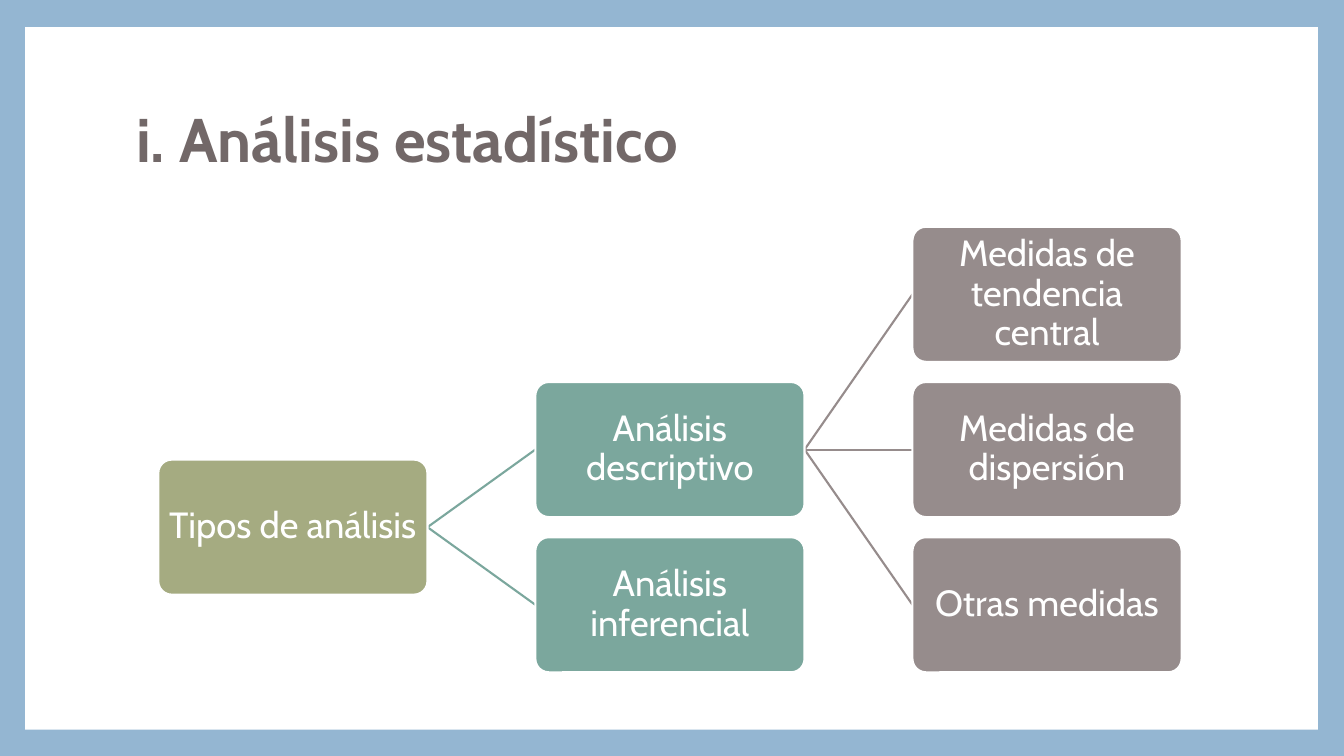
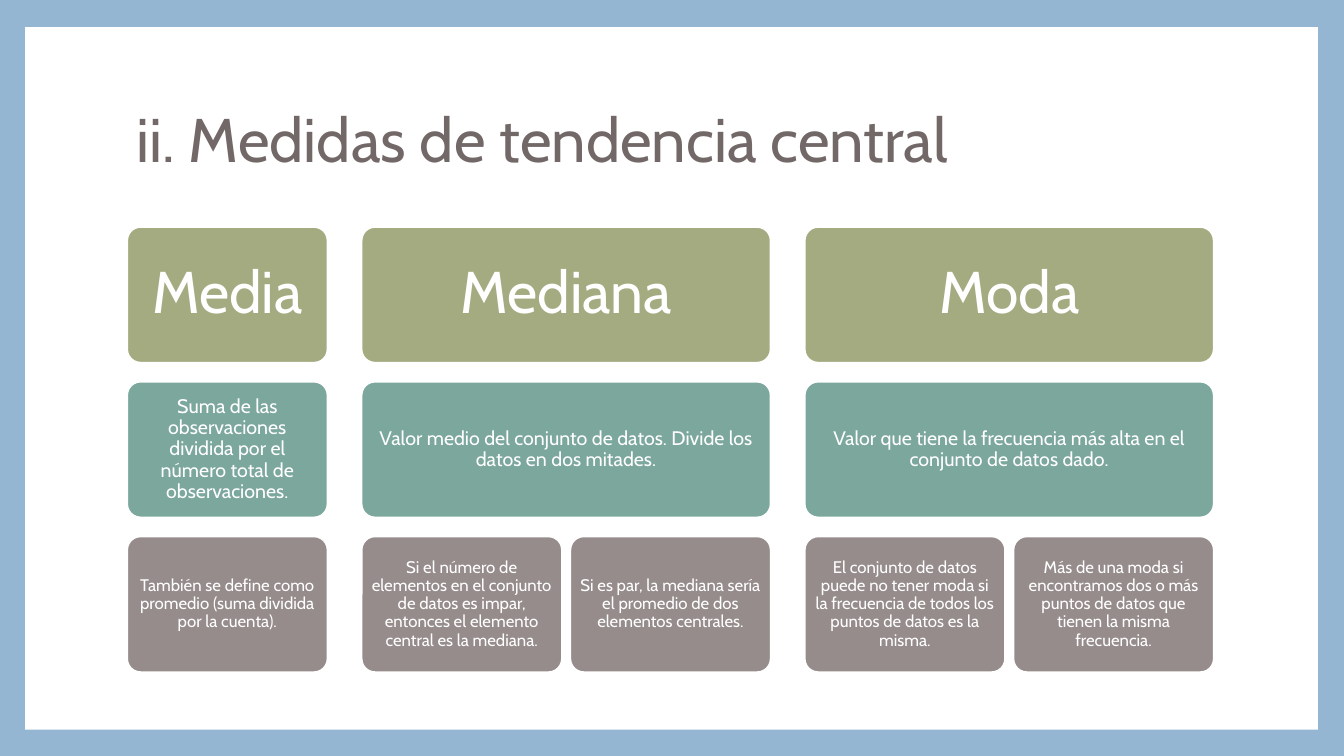
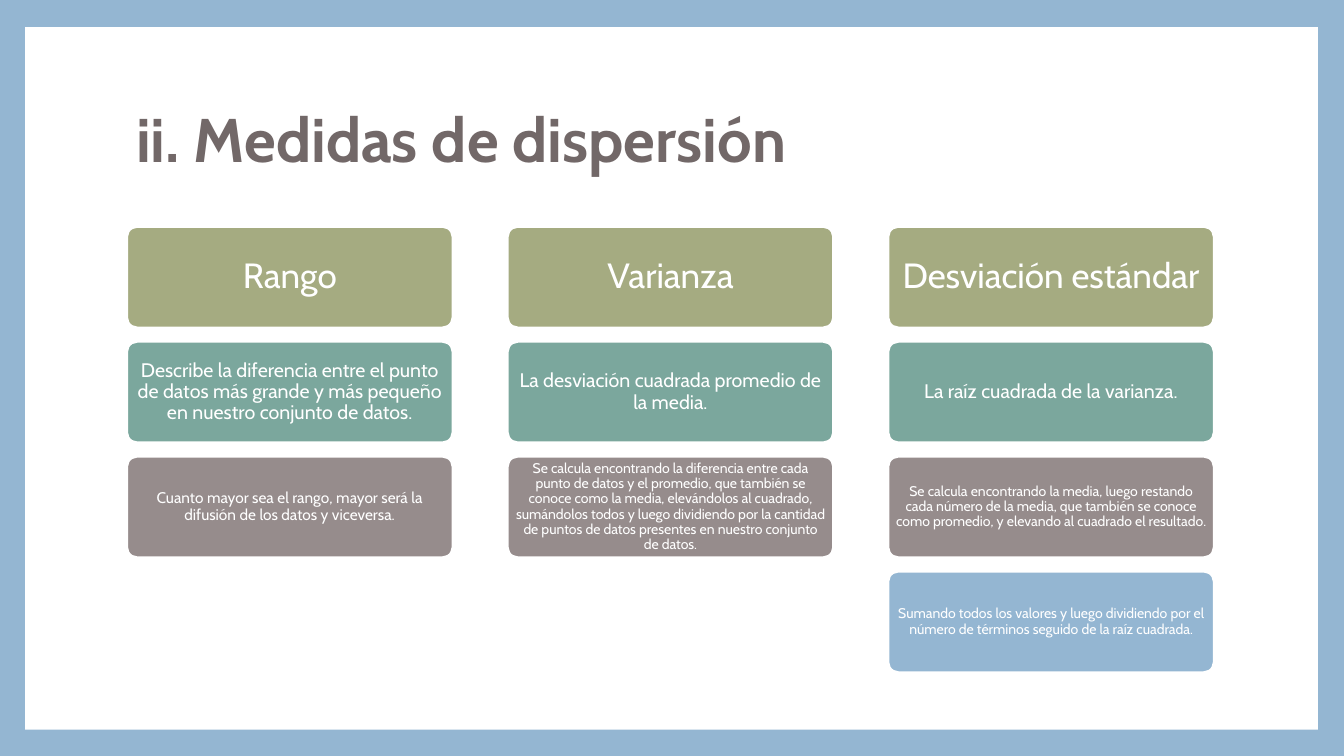
from dataclasses import dataclass, field

from lxml import etree
from pptx import Presentation
from pptx.dml.color import RGBColor
from pptx.enum.shapes import MSO_CONNECTOR, MSO_SHAPE
from pptx.enum.text import MSO_ANCHOR, PP_ALIGN
from pptx.oxml.ns import qn
from pptx.util import Inches, Pt

CENTER, LEFT = PP_ALIGN.CENTER, PP_ALIGN.LEFT
MIDDLE = MSO_ANCHOR.MIDDLE
STRAIGHT = MSO_CONNECTOR.STRAIGHT
RECTANGLE, ROUNDED = MSO_SHAPE.RECTANGLE, MSO_SHAPE.ROUNDED_RECTANGLE

# Text of each slide
TREE_TITLE = "i. Análisis estadístico"
TREE_NODES = {  # label: (level, row)
    "Tipos de análisis": (0, 1.5),
    "Análisis descriptivo": (1, 1),
    "Análisis inferencial": (1, 2),
    "Medidas de tendencia central": (2, 0),
    "Medidas de dispersión": (2, 1),
    "Otras medidas": (2, 2),
}
TREE_LINKS = [
    ("Tipos de análisis", "Análisis descriptivo"),
    ("Tipos de análisis", "Análisis inferencial"),
    ("Análisis descriptivo", "Medidas de tendencia central"),
    ("Análisis descriptivo", "Medidas de dispersión"),
    ("Análisis descriptivo", "Otras medidas"),
]

# Each column lists its rows from the top: type size, then the boxes side by side
CENTRAL_TITLE = "ii. Medidas de tendencia central"
CENTRAL_COLUMNS = [
    [
        ("display", "Media"),
        ("definition", "Suma de las observaciones dividida por el número total de observaciones."),
        ("detail", "También se define como promedio (suma dividida por la cuenta)."),
    ],
    [
        ("display", "Mediana"),
        ("definition", "Valor medio del conjunto de datos. Divide los datos en dos mitades."),
        ("detail",
         "Si el número de elementos en el conjunto de datos es impar, entonces el elemento "
         "central es la mediana.",
         "Si es par, la mediana sería el promedio de dos elementos centrales."),
    ],
    [
        ("display", "Moda"),
        ("definition", "Valor que tiene la frecuencia más alta en el conjunto de datos dado."),
        ("detail",
         "El conjunto de datos puede no tener moda si la frecuencia de todos los puntos de "
         "datos es la misma.",
         "Más de una moda si encontramos dos o más puntos de datos que tienen la misma "
         "frecuencia."),
    ],
]

DISPERSION_TITLE = "ii. Medidas de dispersión"
DISPERSION_COLUMNS = [
    [
        ("heading", "Rango"),
        ("definition",
         "Describe la diferencia entre el punto de datos más grande y más pequeño en nuestro "
         "conjunto de datos."),
        ("note", "Cuanto mayor sea el rango, mayor será la difusión de los datos y viceversa."),
    ],
    [
        ("heading", "Varianza"),
        ("definition", "La desviación cuadrada promedio de la media."),
        ("small",
         "Se calcula encontrando la diferencia entre cada punto de datos y el promedio, que "
         "también se conoce como la media, elevándolos al cuadrado, sumándolos todos y luego "
         "dividiendo por la cantidad de puntos de datos presentes en nuestro conjunto de datos."),
    ],
    [
        ("heading", "Desviación estándar"),
        ("definition", "La raíz cuadrada de la varianza."),
        ("small",
         "Se calcula encontrando la media, luego restando cada número de la media, que también "
         "se conoce como promedio, y elevando al cuadrado el resultado."),
        ("small",
         "Sumando todos los valores y luego dividiendo por el número de términos seguido de la "
         "raíz cuadrada."),
    ],
]


@dataclass(frozen=True)
class Theme:
    font: str = "Cabin"
    frame: RGBColor = RGBColor.from_string("94B6D2")
    white: RGBColor = RGBColor.from_string("FFFFFF")
    title: RGBColor = RGBColor.from_string("726868")
    levels: tuple = tuple(map(RGBColor.from_string, ("A5AB81", "7BA79D", "968C8C", "94B6D2")))
    line_width: float = 1.5
    line_spacing: float = 0.9
    sizes: dict = field(default_factory=lambda: {
        "title": 44, "display": 42, "node": 26, "heading": 25,
        "definition": 14, "detail": 12, "note": 11, "small": 10,
    })


THEME = Theme()
BOARD_LEFT, BOARD_RIGHT = 1.26, 12.04
BOARD_TOP, BOARD_BOTTOM = 2.25, 6.67


def row_pitch(row_count, height):
    """Distance between row tops when the rows fill the board."""
    return (BOARD_BOTTOM - BOARD_TOP - height) / (row_count - 1)


def style_paragraph(paragraph, size, color, alignment, bold=False):
    paragraph.alignment = alignment
    paragraph.line_spacing = THEME.line_spacing
    font = paragraph.font
    font.name, font.size, font.bold = THEME.font, Pt(THEME.sizes[size]), bold
    font.color.rgb = color


def add_box(slide, text, level, size, left, top, width, height, inset=None):
    box = slide.shapes.add_shape(ROUNDED, Inches(left), Inches(top), Inches(width), Inches(height))
    box.adjustments[0] = 0.1
    box.shadow.inherit = False
    box.fill.solid()
    box.fill.fore_color.rgb = THEME.levels[level]
    box.line.color.rgb = THEME.white
    box.line.width = Pt(THEME.line_width)
    frame = box.text_frame
    frame.word_wrap = True
    frame.vertical_anchor = MIDDLE
    margin = Inches(THEME.sizes[size] / 250 if inset is None else inset)
    frame.margin_left = frame.margin_right = frame.margin_top = frame.margin_bottom = margin
    frame.text = text
    style_paragraph(frame.paragraphs[0], size, THEME.white, CENTER)


def add_link(slide, start, end, color):
    link = slide.shapes.add_connector(STRAIGHT, *(Inches(value) for value in (*start, *end)))
    link.line.color.rgb = color
    link.line.width = Pt(THEME.line_width)
    etree.SubElement(link._element.spPr, qn("a:effectLst"))


def add_titled_slide(presentation, layout, title, bold):
    slide = presentation.slides.add_slide(layout)
    slide.shapes.title.text = title
    style_paragraph(slide.shapes.title.text_frame.paragraphs[0], "title", THEME.title, LEFT, bold)
    return slide


def draw_tree(slide):
    left, width, height, gap = 1.57, 2.67, 1.34, 1.07
    pitch = row_pitch(3, height)
    corners = {
        label: (left + level * (width + gap), BOARD_TOP + row * pitch)
        for label, (level, row) in TREE_NODES.items()
    }
    for parent, child in TREE_LINKS:
        (parent_x, parent_y), (child_x, child_y) = corners[parent], corners[child]
        add_link(slide, (parent_x + width, parent_y + height / 2), (child_x, child_y + height / 2),
                 THEME.levels[TREE_NODES[child][0]])
    for label, (level, _) in TREE_NODES.items():
        add_box(slide, label, level, "node", *corners[label], width, height, inset=0.02)


def draw_columns(slide, columns, box_width, box_height, sibling_gap=0.08):
    """Each column is as wide as its fullest row; equal gaps fill the board."""
    counts = [max(len(texts) for _, *texts in column) for column in columns]
    widths = [count * box_width + (count - 1) * sibling_gap for count in counts]
    column_gap = (BOARD_RIGHT - BOARD_LEFT - sum(widths)) / (len(columns) - 1)
    pitch = row_pitch(max(map(len, columns)), box_height)
    left = BOARD_LEFT
    for column, column_width in zip(columns, widths):
        for level, (size, *texts) in enumerate(column):
            width = (column_width - (len(texts) - 1) * sibling_gap) / len(texts)
            for index, text in enumerate(texts):
                add_box(slide, text, level, size, left + index * (width + sibling_gap),
                        BOARD_TOP + level * pitch, width, box_height)
        left += column_width + column_gap


def add_master_panel(master, slide):
    """Build the white panel on a slide, then move it behind everything on the master."""
    panel = slide.shapes.add_shape(RECTANGLE, Inches(0.25), Inches(0.27), Inches(12.82), Inches(6.97))
    panel.shadow.inherit = False
    panel.fill.solid()
    panel.fill.fore_color.rgb = THEME.white
    panel.line.fill.background()
    panel._element.nvSpPr.cNvPr.id = max(shape.shape_id for shape in master.shapes) + 1
    master.shapes._spTree.insert(2, panel._element)


def main():
    presentation = Presentation()
    presentation.slide_width, presentation.slide_height = Inches(13.33), Inches(7.5)
    master = presentation.slide_master
    master.background.fill.solid()
    master.background.fill.fore_color.rgb = THEME.frame
    layout = presentation.slide_layouts.get_by_name("Title Only")
    title = layout.placeholders[0]
    title.left, title.top = Inches(1.25), Inches(0.67)
    title.width, title.height = Inches(10.8), Inches(1.48)

    tree = add_titled_slide(presentation, layout, TREE_TITLE, bold=True)
    add_master_panel(master, tree)
    draw_tree(tree)
    central = add_titled_slide(presentation, layout, CENTRAL_TITLE, bold=False)
    draw_columns(central, CENTRAL_COLUMNS, 1.99, 1.35)
    dispersion = add_titled_slide(presentation, layout, DISPERSION_TITLE, bold=True)
    draw_columns(dispersion, DISPERSION_COLUMNS, 3.23, 1)
    presentation.save("out.pptx")


if __name__ == "__main__":
    main()
